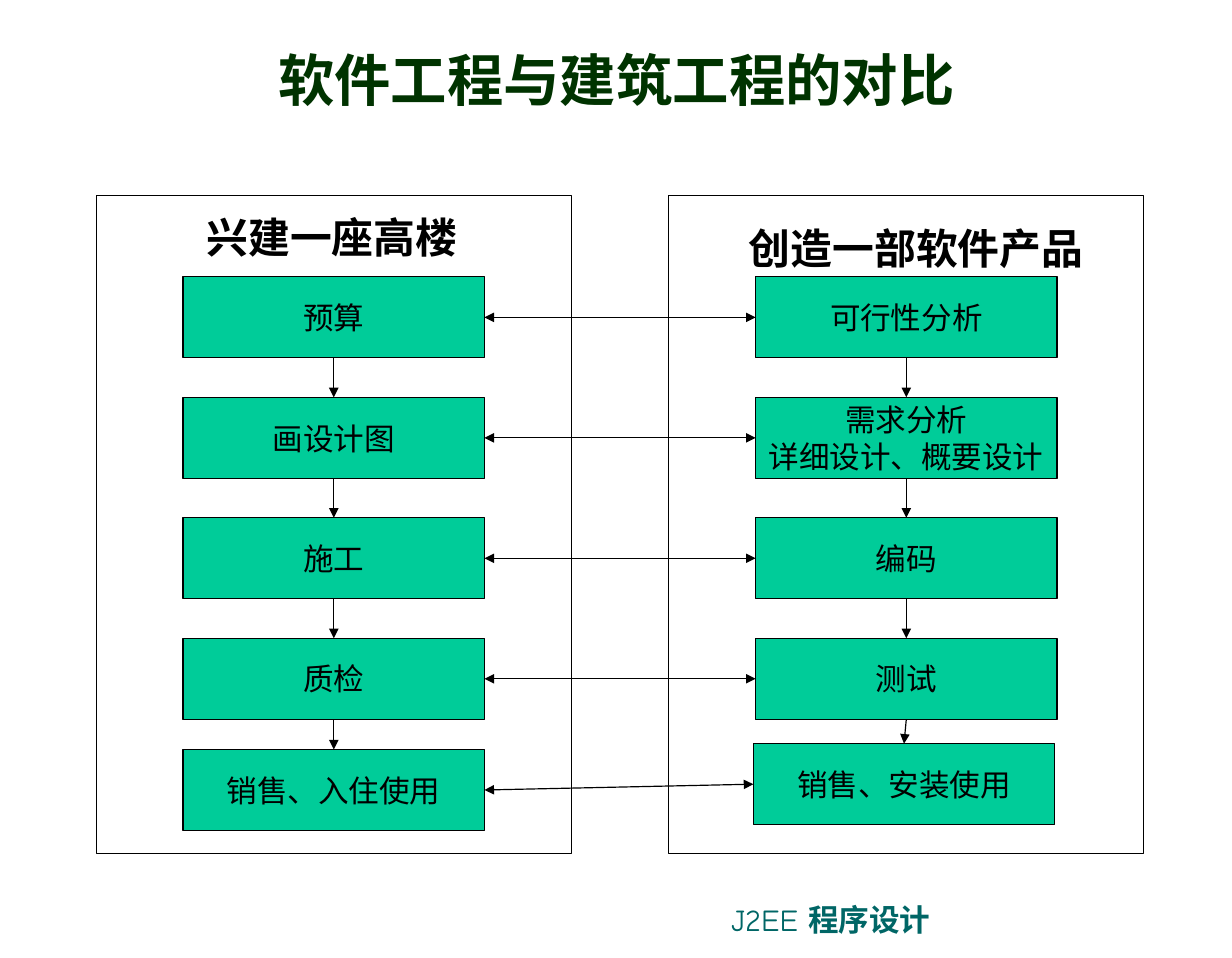
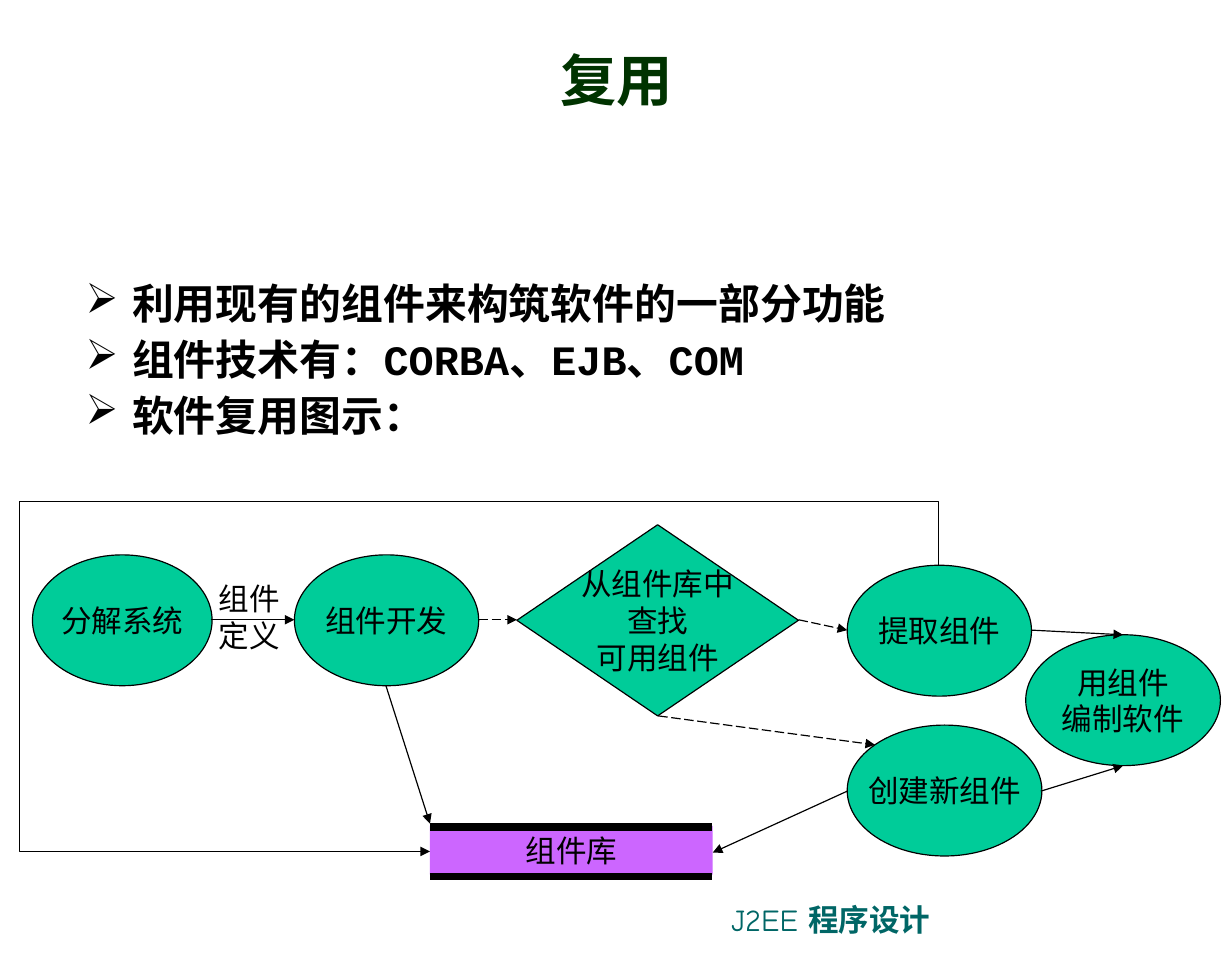
from lxml import etree
from pptx import Presentation
from pptx.dml.color import RGBColor
from pptx.enum.dml import MSO_LINE
from pptx.enum.shapes import MSO_CONNECTOR, MSO_SHAPE
from pptx.enum.text import MSO_ANCHOR, PP_ALIGN
from pptx.oxml.ns import qn
from pptx.util import Pt

PX = 9144
SLIDE_W, SLIDE_H = 1063, 827
COLORS = {
    "title": "003300",
    "text": "000000",
    "footer": "006666",
    "step": "00CC99",
    "store": "CC66FF",
}
BODY_FONT, HEAD_FONT = "Cabin", "Courier New"
RECT, OVAL, DIAMOND = MSO_SHAPE.RECTANGLE, MSO_SHAPE.OVAL, MSO_SHAPE.DIAMOND
STRAIGHT = MSO_CONNECTOR.STRAIGHT
DASH = MSO_LINE.LONG_DASH
LEFT, CENTER = PP_ALIGN.LEFT, PP_ALIGN.CENTER
TOP, MIDDLE = MSO_ANCHOR.TOP, MSO_ANCHOR.MIDDLE
SITE_TOP, SITE_LEFT, SITE_BOTTOM, SITE_RIGHT = range(4)


def rgb(name):
    return RGBColor.from_string(COLORS[name])


def write(p, text, size=19, font=BODY_FONT, color="text", bold=False, align=LEFT):
    p.alignment = align
    for i, line in enumerate(text.split("\n")):
        if i:
            p.add_line_break()
        r = p.add_run()
        r.text = line
        r.font.size = Pt(size)
        r.font.name = font
        r.font.bold = bold
        r.font.color.rgb = rgb(color)
        ea = etree.SubElement(r._r.get_or_add_rPr(), qn("a:ea"))
        ea.set("typeface", font)


def set_frame(tf, wrap, anchor):
    tf.word_wrap = wrap
    tf.vertical_anchor = anchor
    tf.margin_left = tf.margin_right = 11 * PX
    tf.margin_top = tf.margin_bottom = 5 * PX


def add_text(s, x, y, w, h, text="", anchor=TOP, **fmt):
    tf = s.shapes.add_textbox(x * PX, y * PX, w * PX, h * PX).text_frame
    set_frame(tf, True, anchor)
    if text:
        write(tf.paragraphs[0], text, **fmt)
    return tf


def add_box(s, kind, x, y, w, h, text="", fill="step", outline=True):
    sp = s.shapes.add_shape(kind, x * PX, y * PX, w * PX, h * PX)
    sp.shadow.inherit = False
    if fill:
        sp.fill.solid()
        sp.fill.fore_color.rgb = rgb(fill)
    else:
        sp.fill.background()
    if outline:
        style_line(sp.line)
    else:
        sp.line.fill.background()
    if text:
        set_frame(sp.text_frame, False, MIDDLE)
        write(sp.text_frame.paragraphs[0], text, align=CENTER)
    return sp


def style_line(line, width=0.75, dash=None, head=False, tail=False):
    line.width = Pt(width)
    line.color.rgb = rgb("text")
    if dash:
        line.dash_style = dash
    for tag, wanted in (("a:headEnd", head), ("a:tailEnd", tail)):
        if wanted:
            etree.SubElement(line._get_or_add_ln(), qn(tag)).set("type", "triangle")


def add_line(s, start, end, **style):
    x1, y1, x2, y2 = (v * PX for v in (*start, *end))
    cx = s.shapes.add_connector(STRAIGHT, x1, y1, x2, y2)
    style_line(cx.line, **style)
    etree.SubElement(cx._element.spPr, qn("a:effectLst"))
    return cx


def link(s, a, site_a, b, site_b, **style):
    cx = add_line(s, (0, 0), (0, 0), tail=True, **style)
    cx.begin_connect(a, site_a)
    cx.end_connect(b, site_b)


def add_path(s, points):
    fb = s.shapes.build_freeform(*points[0], scale=PX)
    fb.add_line_segments(points[1:], close=False)
    sp = fb.convert_to_shape()
    sp.shadow.inherit = False
    sp.fill.background()
    style_line(sp.line, tail=True)


def add_bullets(tf, items):
    for i, text in enumerate(items):
        p = tf.add_paragraph() if i else tf.paragraphs[0]
        pPr = p._p.get_or_add_pPr()
        pPr.set("marL", str(40 * PX))
        pPr.set("indent", str(-40 * PX))
        clr = etree.SubElement(pPr, qn("a:buClr"))
        etree.SubElement(clr, qn("a:srgbClr")).set("val", COLORS["text"])
        etree.SubElement(pPr, qn("a:buChar")).set("char", "➢")
        p.line_spacing = 0.9
        if i:
            p.space_before = Pt(6.5)
        write(p, text, size=26, font=HEAD_FONT, bold=True)


def add_slide(prs, title):
    s = prs.slides.add_slide(prs.slide_layouts[6])
    tf = add_text(s, 620, 773, 328, 42, "J2EE ", font="Comic Neue", color="footer")
    write(tf.paragraphs[0], "程序设计", font="Noto Sans CJK JP", color="footer", bold=True)
    add_text(s, 28, 28, 1008, 81, title, anchor=MIDDLE, size=35, font=HEAD_FONT,
             color="title", bold=True, align=CENTER)
    return s


def add_flow(s, x, steps, last):
    tops = [239 + 104 * i for i in range(len(steps) - 1)]
    places = [(x, y) for y in tops] + [last]
    boxes = [add_box(s, RECT, bx, by, 260, 70, text)
             for (bx, by), text in zip(places, steps)]
    for upper, lower in zip(boxes, boxes[1:]):
        link(s, upper, SITE_BOTTOM, lower, SITE_TOP)
    return boxes


def comparison_slide(prs):
    s = add_slide(prs, "软件工程与建筑工程的对比")
    for x in (83, 577):
        add_box(s, RECT, x, 169, 410, 568, fill=None)
    add_text(s, 167, 178, 251, 54, "兴建一座高楼", size=26, bold=True)
    add_text(s, 635, 187, 327, 54, "创造一部软件产品", size=26, bold=True)
    building = add_flow(
        s, 158, ["预算", "画设计图", "施工", "质检", "销售、入住使用"], (158, 647))
    software = add_flow(
        s, 652,
        ["可行性分析", "需求分析\n详细设计、概要设计", "编码", "测试", "销售、安装使用"],
        (650, 642))
    for a, b in zip(building, software):
        link(s, a, SITE_RIGHT, b, SITE_LEFT, head=True)


def reuse_slide(prs):
    s = add_slide(prs, "复用")
    add_bullets(add_text(s, 63, 240, 978, 208), [
        "利用现有的组件来构筑软件的一部分功能",
        "组件技术有：CORBA、EJB、COM",
        "软件复用图示：",
    ])
    for x, y, w, text in (
        (28, 479, 155, "分解系统"),
        (254, 479, 159, "组件开发"),
        (731, 626, 168, "创建新组件"),
        (731, 488, 159, "提取组件"),
        (885, 548, 168, "用组件\n编制软件"),
    ):
        add_box(s, OVAL, x, y, w, 113, text)
    add_box(s, DIAMOND, 446, 453, 243, 165, "从组件库中\n查找\n可用组件")
    add_box(s, RECT, 371, 713, 244, 42, "组件库", fill="store", outline=False)
    for y in (714, 757):
        add_line(s, (371, y), (614, y), width=4.5)
    for start, end, dash in (
        ((182, 535), (254, 535), None),
        ((413, 535), (446, 535), DASH),
        ((333, 592), (371, 711), None),
        ((731, 683), (615, 736), None),
        ((689, 535), (731, 544), DASH),
        ((568, 618), (755, 643), DASH),
        ((890, 544), (969, 548), None),
        ((898, 683), (969, 661), None),
    ):
        add_line(s, start, end, dash=dash, tail=True)
    add_path(s, [(810, 488), (810, 433), (17, 433), (17, 735), (371, 735)])
    add_text(s, 178, 496, 84, 74, "组件定义")


def main():
    prs = Presentation()
    prs.slide_width, prs.slide_height = SLIDE_W * PX, SLIDE_H * PX
    comparison_slide(prs)
    reuse_slide(prs)
    prs.save("out.pptx")


if __name__ == "__main__":
    main()
